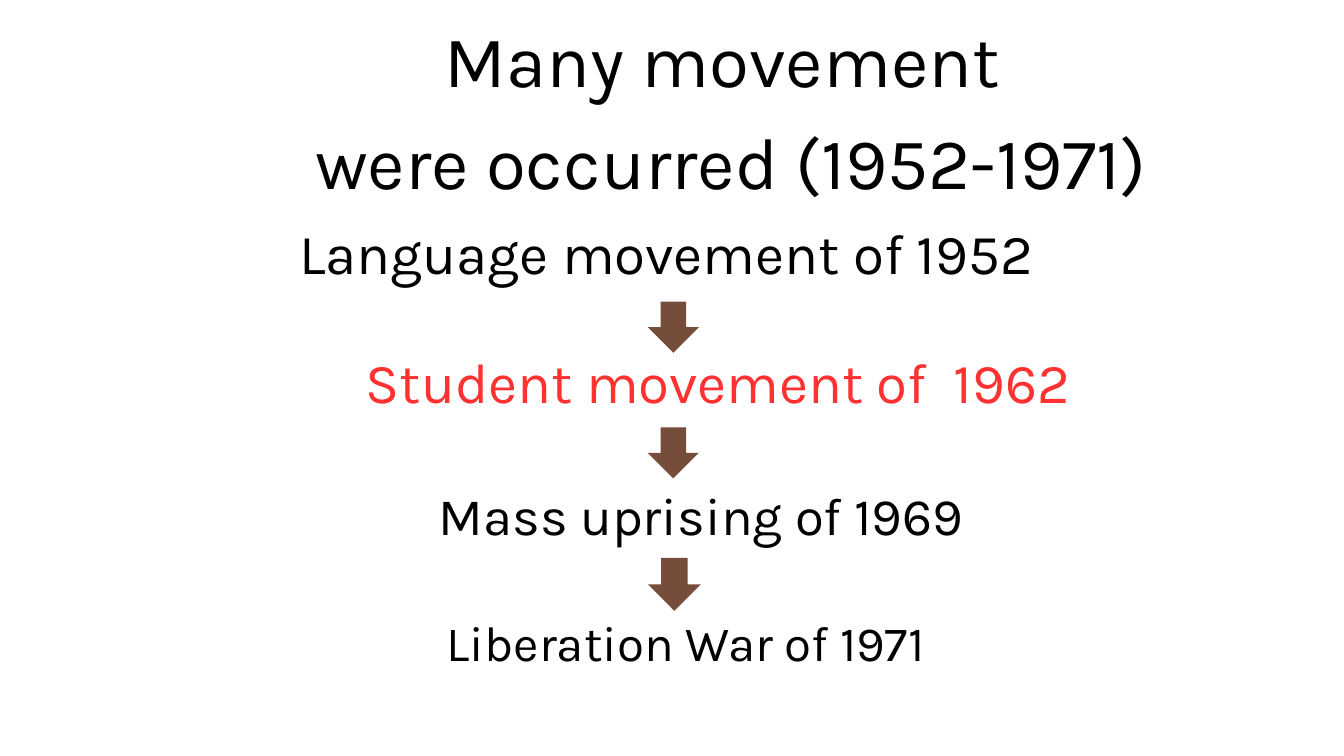
"""Build a slide that lists the movements from 1952 to 1971 in a downward flow."""
from pptx import Presentation
from pptx.dml.color import RGBColor
from pptx.enum.shapes import MSO_SHAPE as Shape
from pptx.enum.text import MSO_AUTO_SIZE as Fit, PP_ALIGN as Align
from pptx.util import Inches, Pt


def color(code):
    return RGBColor.from_string(code)


deck = Presentation()
deck.slide_width, deck.slide_height = Inches(20), Inches(11.25)
slide = deck.slides.add_slide(deck.slide_layouts[6])
slide.background.fill.solid()
slide.background.fill.fore_color.rgb = color("FFFFFF")

arrows = [(4.49, 0.76), (6.36, 0.76), (8.3, 0.79)]
for top, size in arrows:
    arrow = slide.shapes.add_shape(
        Shape.DOWN_ARROW, Inches(9.64), Inches(top), Inches(size), Inches(size))
    arrow.shadow.inherit = False
    arrow.fill.solid()
    arrow.fill.fore_color.rgb = color("764D3A")
    arrow.line.fill.background()

frame_style = {"margin_left": 0, "margin_top": 0, "margin_right": 0,
               "margin_bottom": 0, "word_wrap": True,
               "auto_size": Fit.SHAPE_TO_FIT_TEXT}

texts = [
    (["Many movement ", "were occurred (1952-1971)"],
     (3.67, 0, 14.42, 3.06), 78, 109.2, "000000"),
    (["Language movement of 1952 "],
     (3.27, 3.08, 13.49, 1.19), 60.5, 84.8, "000000"),
    (["Student movement of  1962"],
     (4.17, 5, 13.03, 1.11), 60.4, 84.5, "FF3131"),
    (["Mass uprising of 1969"],
     (5.67, 7.02, 9.53, 1.04), 56.5, 79.2, "000000"),
    (["Liberation War of 1971"],
     (6.21, 8.96, 7.99, 0.98), 52.8, 73.8, "000000"),
]
for lines, place, size, pitch, ink in texts:
    frame = slide.shapes.add_textbox(*map(Inches, place)).text_frame
    for name, value in frame_style.items():
        setattr(frame, name, value)
    frame.text = "\n".join(lines)
    for para in frame.paragraphs:
        para.alignment = Align.CENTER
        para.line_spacing = Pt(pitch)
        font = para.runs[0].font
        for name, value in {"name": "Karla", "size": Pt(size)}.items():
            setattr(font, name, value)
        font.color.rgb = color(ink)

deck.save("out.pptx")
